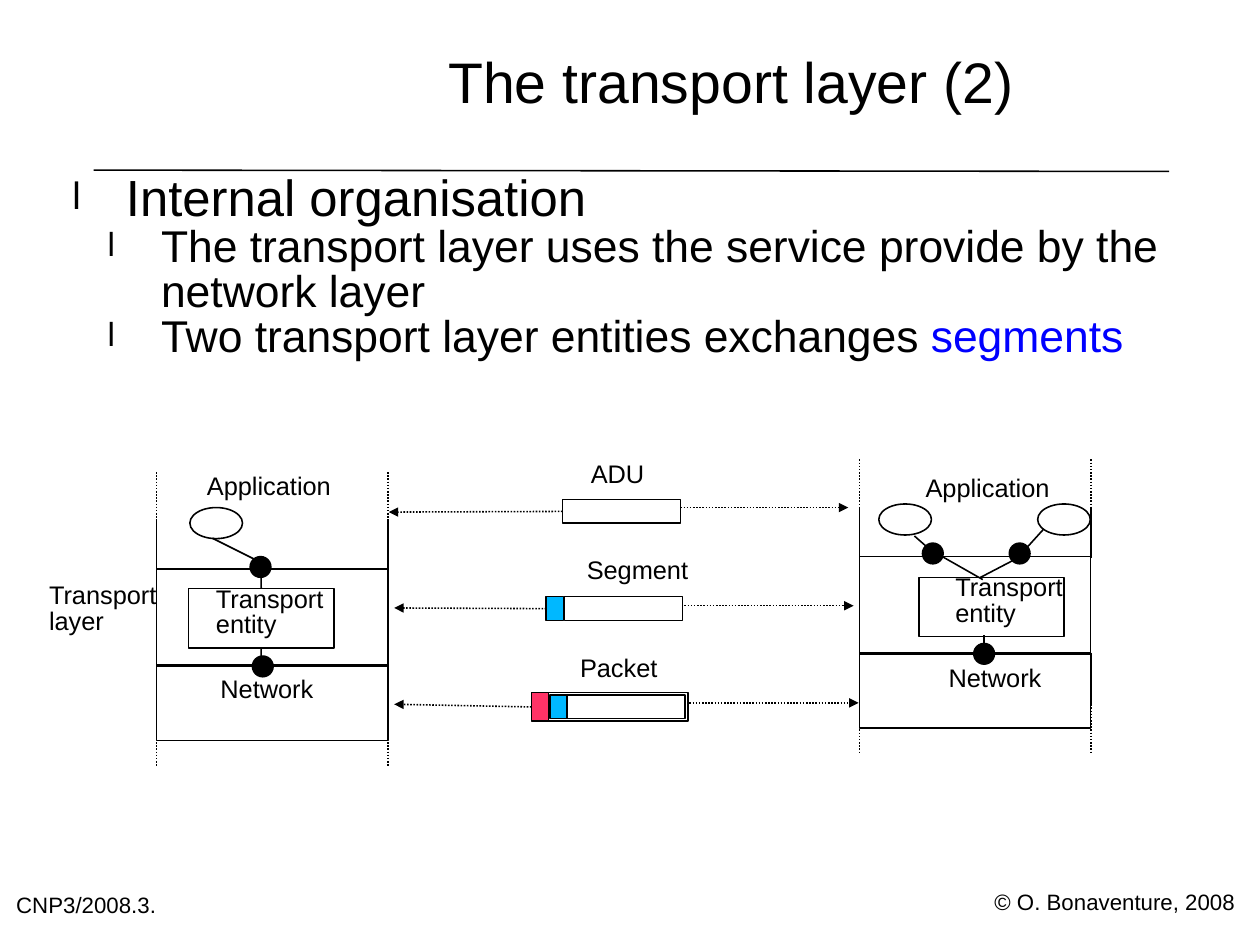
from lxml import etree
from pptx import Presentation
from pptx.dml.color import RGBColor
from pptx.enum import dml, shapes, text
from pptx.oxml import ns
from pptx.util import Cm, Pt

BLACK = RGBColor(0x00, 0x00, 0x00)
BLUE = RGBColor(0x00, 0x00, 0xFF)
SKY = RGBColor(0x00, 0xB8, 0xFF)
RED = RGBColor(0xFF, 0x33, 0x66)
RECTANGLE = shapes.MSO_SHAPE.RECTANGLE
OVAL = shapes.MSO_SHAPE.OVAL
NO_MARGINS = {"margin_left": 0, "margin_right": 0, "margin_top": 0, "margin_bottom": 0}

deck = Presentation()
deck.slide_width, deck.slide_height = Cm(28), Cm(21)
page = deck.slides.add_slide(deck.slide_layouts[6])


def draw(kind, left, top, width, height, fill=None):
    shape = page.shapes.add_shape(kind, Cm(left), Cm(top), Cm(width), Cm(height))
    shape.shadow.inherit = False
    shape.line.color.rgb = BLACK
    shape.line.width = Pt(1)
    if fill is None:
        shape.fill.background()
    else:
        shape.fill.solid()
        shape.fill.fore_color.rgb = fill
    return shape


def link(x1, y1, x2, y2, dotted=False, arrow=False):
    line = page.shapes.add_connector(
        shapes.MSO_CONNECTOR.STRAIGHT, Cm(x1), Cm(y1), Cm(x2), Cm(y2))
    line.line.color.rgb = BLACK
    line.line.width = Pt(1)
    if dotted:
        line.line.dash_style = dml.MSO_LINE.ROUND_DOT
    if arrow:
        etree.SubElement(line.line._get_or_add_ln(), ns.qn("a:tailEnd"), type="triangle")
    etree.SubElement(line._element.spPr, ns.qn("a:effectLst"))
    return line


# Rule under the title
link(2.08, 3.78, 25.98, 3.81)

# Outline of the two hosts
COLUMN = 5.14
for left, top in [(3.48, 10.49), (19.1, 10.21)]:
    draw(RECTANGLE, left, top + 2.16, COLUMN, 2.16)
    draw(RECTANGLE, left, top + 4.29, COLUMN, 1.68)
    for side in (left, left + COLUMN):
        for start, end, dotted in [(0, 1.12, True), (1.07, 2.18, False),
                                   (4.29, 5.44, False), (5.44, 6.55, True)]:
            link(side, top + start, side, top + end, dotted)

# Transport entities, applications and service access points
left_entity = draw(RECTANGLE, 4.19, 13.08, 3.23, 1.32)
draw(RECTANGLE, 20.42, 12.83, 3.23, 1.32)
for left, top in [(4.22, 11.28), (19.53, 11.2), (23.06, 11.2)]:
    draw(OVAL, left, top, 1.17, 0.69)
for left, top in [(5.56, 12.37), (5.61, 14.58), (21.64, 14.3),
                  (20.5, 12.07), (22.43, 12.07)]:
    draw(OVAL, left, top, 0.46, 0.46, BLACK)

# Links between applications, access points and entities
link(5.8, 13.08, 5.8, 12.62).begin_connect(left_entity, 0)
link(5.8, 14.4, 5.8, 14.81).begin_connect(left_entity, 2)
for ends in [(5.84, 12.52, 4.72, 11.96), (21.84, 12.88, 20.8, 12.29),
             (22.73, 12.34, 21.79, 12.83), (21.87, 14.58, 21.87, 14.12),
             (20.73, 12.27, 20.32, 11.91), (22.71, 12.29, 23.19, 11.76)]:
    link(*ends)

# Exchanged data units: blocks (left, top, width, height, fill),
# left arrow tip, right arrow (start, tip, height)
exchanges = [
    ([(12.5, 11.1, 2.62, 0.53, None)], (8.64, 11.38), (15.12, 18.85, 11.28)),
    ([(12.55, 13.26, 2.62, 0.53, None), (12.14, 13.26, 0.38, 0.53, SKY)],
     (8.76, 13.51), (15.21, 18.97, 13.46)),
    ([(12.6, 15.44, 2.62, 0.53, None), (12.22, 15.44, 0.38, 0.53, SKY),
      (12.17, 15.39, 3.12, 0.64, None), (11.81, 15.39, 0.38, 0.64, RED)],
     (8.76, 15.65), (15.32, 19.08, 15.62)),
]
for blocks, left_tip, (start, tip, height) in exchanges:
    drawn = [draw(RECTANGLE, *block) for block in blocks]
    # The leftmost block is drawn last
    link(*left_tip, *left_tip, dotted=True, arrow=True).begin_connect(drawn[-1], 1)
    link(start, height, tip, height, dotted=True, arrow=True)

# Title, footers and labels: text, size, left, top, width, height
labels = [
    ("The transport layer (2)", 36, 6.35, 0, 19.79, 3.84),
    ("© O. Bonaventure, 2008", 14, 22.1, 19.84, 5.6, 0.51),
    ("CNP3/2008.3.", 14, 0.36, 19.91, 4.27, 0.61),
    ("Transport\nlayer", 16, 1.09, 12.98, 2.6, 1.14),
    ("Transport\nentity", 16, 4.8, 13.06, 2.6, 1.14),
    ("Transport\nentity", 16, 21.23, 12.8, 2.6, 1.14),
    ("Application", 16, 4.6, 10.56, 3, 0.56),
    ("Application", 16, 20.57, 10.61, 3, 0.56),
    ("Network", 16, 4.9, 15.06, 2.6, 0.56),
    ("Network", 16, 21.08, 14.83, 2.6, 0.56),
    ("ADU", 16, 13.13, 10.29, 1.6, 0.56),
    ("Segment", 16, 13.04, 12.42, 2.6, 0.56),
    ("Packet", 16, 12.89, 14.61, 2.2, 0.56),
]
for words, size, *place in labels:
    box = page.shapes.add_textbox(*map(Cm, place))
    frame = box.text_frame
    title = size == 36
    anchor = text.MSO_ANCHOR.MIDDLE if title else text.MSO_ANCHOR.TOP
    for name, value in {**NO_MARGINS, "word_wrap": True, "vertical_anchor": anchor}.items():
        setattr(frame, name, value)
    frame.text = words
    for para in frame.paragraphs:
        para.line_spacing = 0.84
        para.alignment = text.PP_ALIGN.CENTER if title else text.PP_ALIGN.LEFT
        for span in para.runs:
            span.font.name, span.font.size = "Arial", Pt(size)
            span.font.color.rgb = BLACK

# Bullet list: level, size, indent, spans
bullets = [
    (0, 32, 1.4, [("Internal organisation", BLACK)]),
    (1, 28, 2.18, [("The transport layer uses the service provide by the network layer", BLACK)]),
    (1, 28, 2.18, [("Two transport layer entities exchanges ", BLACK), ("segments", BLUE)]),
]
frame = page.shapes.add_textbox(Cm(1.4), Cm(3.91), Cm(25.93), Cm(17.09)).text_frame
for name, value in {**NO_MARGINS, "word_wrap": True}.items():
    setattr(frame, name, value)
for number, (level, size, indent, spans) in enumerate(bullets):
    para = frame.add_paragraph() if number else frame.paragraphs[0]
    para.level, para.line_spacing = level, 0.84
    properties = para._p.get_or_add_pPr()
    properties.set("marL", str(Cm(indent)))
    properties.set("indent", str(Cm(-1.19)))
    colour = etree.SubElement(properties, ns.qn("a:buClr"))
    etree.SubElement(colour, ns.qn("a:srgbClr"), val=str(BLACK))
    etree.SubElement(properties, ns.qn("a:buSzPct"), val="75000")
    etree.SubElement(properties, ns.qn("a:buFont"), typeface="Arial")
    etree.SubElement(properties, ns.qn("a:buChar"), char="l")
    for words, shade in spans:
        span = para.add_run()
        span.text = words
        span.font.name, span.font.size = "Arial", Pt(size)
        span.font.color.rgb = shade

deck.save("out.pptx")
